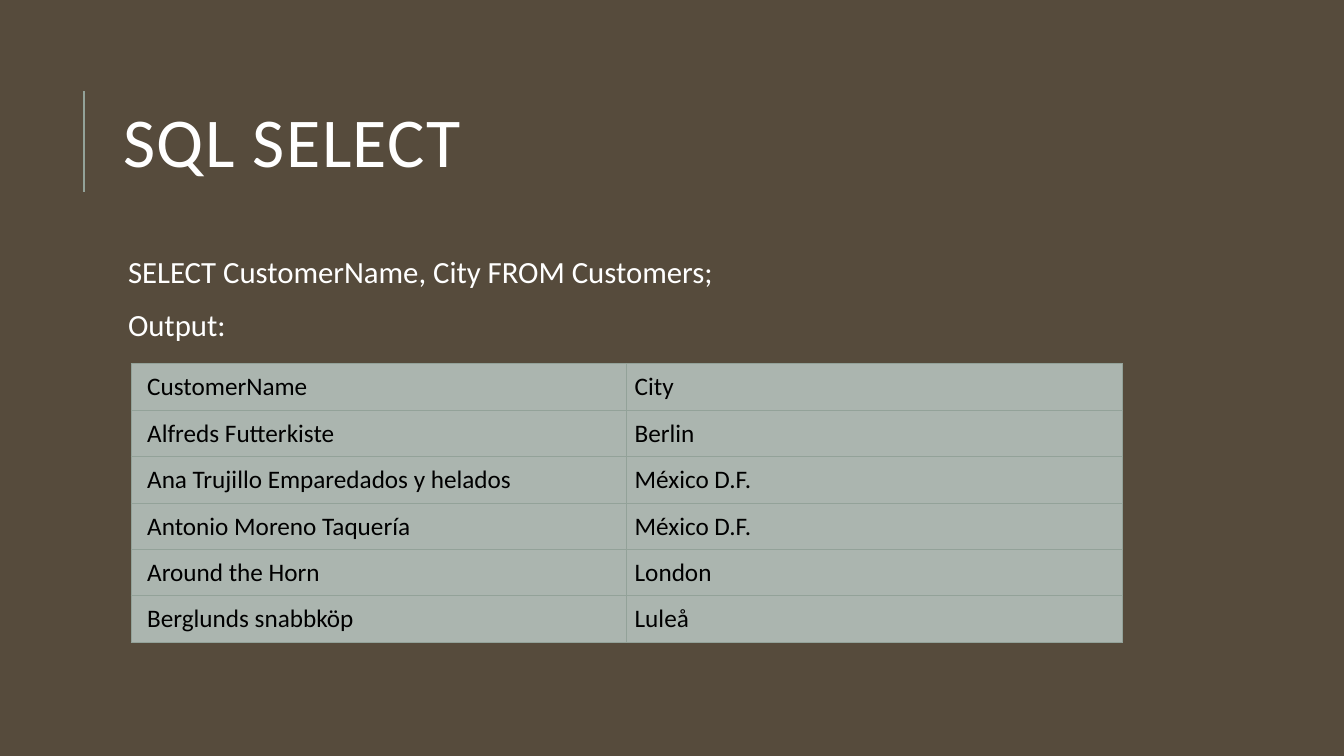
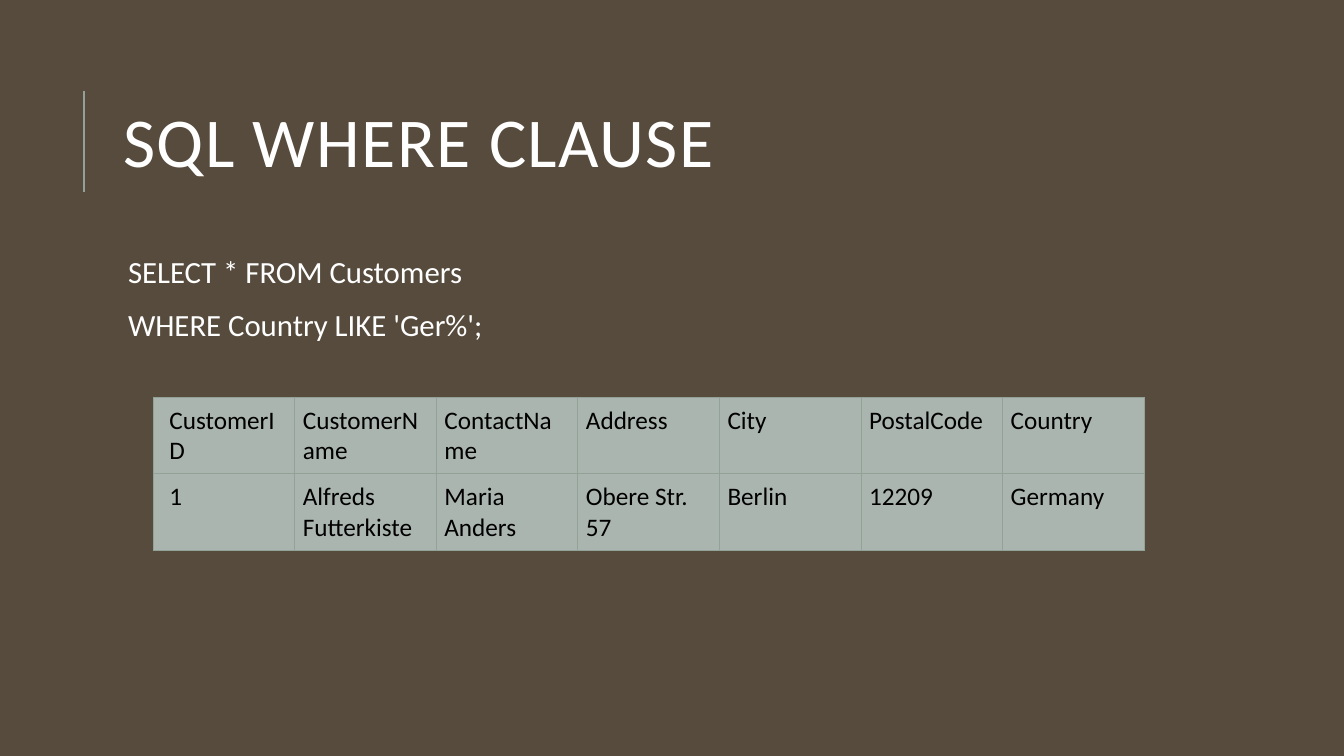
from lxml.etree import SubElement as Sub
from pptx import Presentation
from pptx.dml.color import RGBColor
from pptx.enum.shapes import MSO_CONNECTOR as Conn
from pptx.enum.text import MSO_ANCHOR as Anchor, MSO_AUTO_SIZE as Fit, PP_ALIGN as Align
from pptx.oxml.ns import qn
from pptx.util import Pt

# Shared look
PX = 9144  # 100 px to the inch
FONT = "Calibri"
BACK, SAGE, PALE = "564B3C", "93A299", "ABB5AF"
WHITE, BLACK = "FFFFFF", "000000"
LEFT, WIDE = 112, 1063


def px(*nums):
    return [n * PX for n in nums]


def rgb(code):
    return RGBColor.from_string(code)


def pad(box, left, top, right, bottom):
    box.margin_left, box.margin_top, box.margin_right, box.margin_bottom = px(
        left, top, right, bottom)


def write(para, text, size, color):
    run = para.add_run()
    run.text = text
    font = run.font
    font.name, font.size = FONT, Pt(size)
    font.color.rgb = rgb(color)
    return run


# Title with the rule at its left
def head(slide, text):
    title = slide.shapes.title
    title.left, title.top, title.width, title.height = px(LEFT, 64, WIDE, 164)
    frame = title.text_frame
    frame.auto_size, frame.word_wrap = Fit.NONE, True
    frame.vertical_anchor = Anchor.MIDDLE
    para = frame.paragraphs[0]
    para.alignment, para.line_spacing = Align.LEFT, 0.8
    run = write(para, text, 50, WHITE)
    run.font._element.set("spc", "100")

    rule = slide.shapes.add_connector(Conn.STRAIGHT, *px(83, 190, 83, 90))
    rule.line.color.rgb, rule.line.width = rgb(SAGE), Pt(1.5)
    Sub(rule._element.spPr, qn("a:effectLst"))


# Query lines
def body(slide, lines):
    frame = slide.shapes.add_textbox(*px(LEFT, 250, WIDE, 440)).text_frame
    frame.word_wrap = True
    pad(frame, 15, 5, 5, 5)
    for i, text in enumerate(lines):
        para = frame.paragraphs[0] if i == 0 else frame.add_paragraph()
        para.line_spacing = 0.9
        para.space_before, para.space_after = Pt(12 if i else 0), Pt(2)
        write(para, text, 22, WHITE)


# Result table
def edge(cell):
    props = cell._tc.get_or_add_tcPr()
    for side in "LRTB":
        line = Sub(props, qn("a:ln" + side), w=str(Pt(0.75)))
        fill = Sub(line, qn("a:solidFill"))
        Sub(fill, qn("a:srgbClr"), val=SAGE)


def grid(slide, left, top, high, rows):
    place = px(left, top, 983, high * len(rows))
    table = slide.shapes.add_table(len(rows), len(rows[0]), *place).table
    table.first_row = table.horz_banding = False
    for r, row in enumerate(rows):
        for c, text in enumerate(row):
            cell = table.cell(r, c)
            pad(cell, 8 if c else 16, 8, 8, 8)
            edge(cell)
            cell.fill.solid()
            cell.fill.fore_color.rgb = rgb(PALE)
            write(cell.text_frame.paragraphs[0], text, 18, BLACK)


# Content: title, query lines, table left, top and row height, table rows
PAGES = [
    ("SQL SELECT",
     ["SELECT CustomerName, City FROM Customers;", "Output:"],
     (130, 361, 46),
     [("CustomerName", "City"),
      ("Alfreds Futterkiste", "Berlin"),
      ("Ana Trujillo Emparedados y helados", "México D.F."),
      ("Antonio Moreno Taquería", "México D.F."),
      ("Around the Horn", "London"),
      ("Berglunds snabbköp", "Luleå")]),
    ("SQL WHERE CLAUSE",
     ["SELECT * FROM Customers", "WHERE Country LIKE 'Ger%';"],
     (152, 394, 76),
     [("CustomerID", "CustomerName", "ContactName", "Address", "City",
       "PostalCode", "Country"),
      ("1", "Alfreds Futterkiste", "Maria Anders", "Obere Str. 57", "Berlin",
       "12209", "Germany")]),
]


def main():
    prs = Presentation()
    prs.slide_width, prs.slide_height = px(1333, 750)
    back = prs.slide_master.background.fill
    back.solid()
    back.fore_color.rgb = rgb(BACK)
    for title, lines, place, rows in PAGES:
        slide = prs.slides.add_slide(prs.slide_layouts[5])
        head(slide, title)
        body(slide, lines)
        grid(slide, *place, rows)
    prs.save("out.pptx")


if __name__ == "__main__":
    main()
